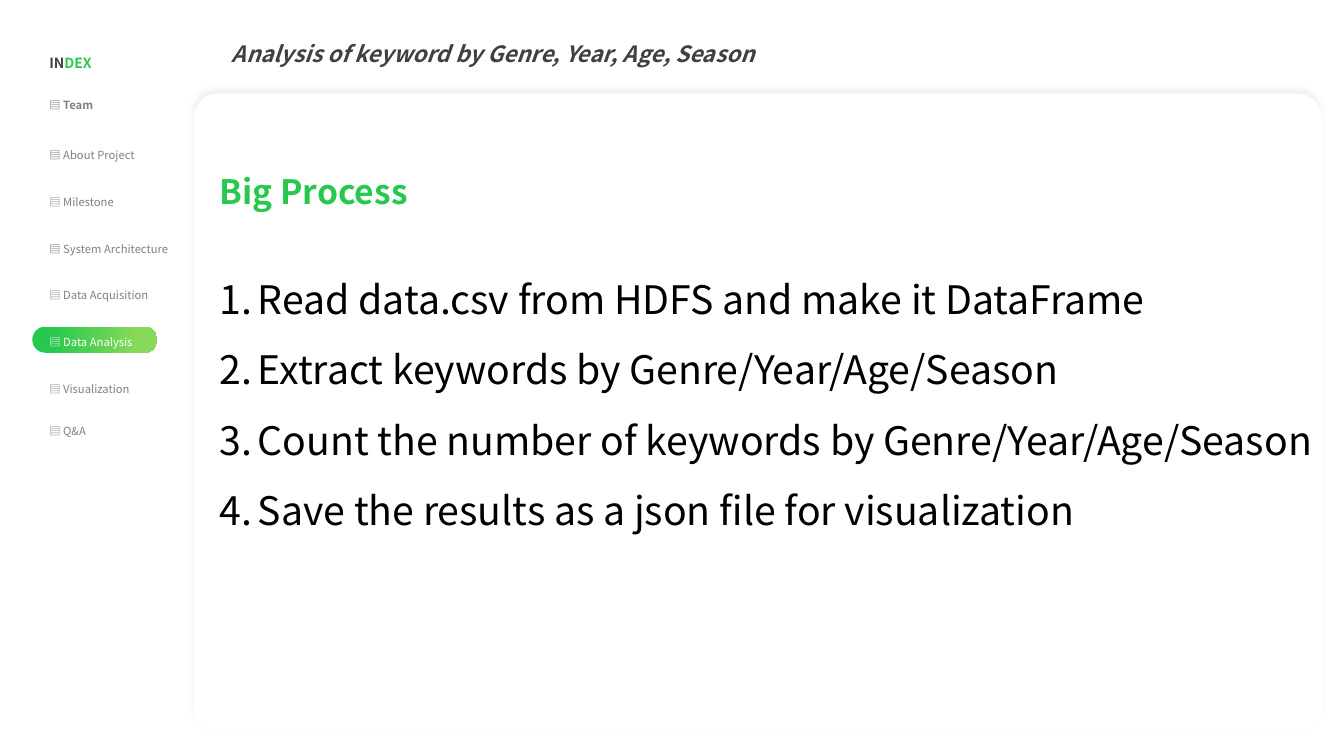
from dataclasses import dataclass
from typing import Optional

from lxml import etree
from pptx import Presentation
from pptx import util as u
from pptx.dml import color
from pptx.enum import shapes, text
from pptx.oxml import ns

FONT = "Noto Sans CJK KR"
GREEN, LIME, WHITE, BLACK = "28C84E", "88D959", "FFFFFF", "000000"
DARK, GRAY = "404040", "808080"
NO_STYLE_TABLE = "{2D5ABB26-0587-4C30-8999-92F81FD0307C}"


@dataclass
class Piece:
    words: str
    size: float
    color: str
    bold: bool = False
    italic: bool = False


@dataclass
class Shadow:
    color: str
    opacity: int
    blur: float
    distance: float
    angle: int


@dataclass
class Panel:
    left: float
    top: float
    width: float
    height: float
    corner: float
    colors: tuple[str, ...]
    shadow: Optional[Shadow] = None


@dataclass
class MenuItem:
    pieces: list[Piece]
    spacing: float = 1.5


def entry(label: str, hue: str = GRAY) -> Piece:
    return Piece(label, 8, hue)


MARK = Piece("▤ ", 8, GRAY, bold=True)
PANELS = [
    Panel(0.19, 0.2, 12.95, 7.1, 0.038, (WHITE,), Shadow(WHITE, 40, 0, 0, 0)),
    Panel(0.32, 3.24, 1.24, 0.26, 0.5, (GREEN, LIME)),
]
CONTENT = Panel(1.92, 0.93, 11.19, 6.34, 0.038, (WHITE,), Shadow(BLACK, 5, 4, 3, 270))
MENU = [
    MenuItem([Piece("IN", 10, DARK, bold=True), Piece("DEX", 10, GREEN, bold=True)]),
    MenuItem([Piece("▤ Team", 8, GRAY, bold=True)], 1),
    MenuItem([MARK, entry("About Project")]),
    MenuItem([entry("▤ Milestone")]),
    MenuItem([MARK, entry("System Architecture")]),
    MenuItem([entry("▤ Data Acquisition")]),
    MenuItem([entry("▤ Data Analysis", WHITE)]),
    MenuItem([entry("▤ Visualization")]),
    MenuItem([entry("▤ Q&A")], 1),
]
STEPS = [
    "Read data.csv from HDFS and make it DataFrame",
    "Extract keywords by Genre/Year/Age/Season",
    "Count the number of keywords by Genre/Year/Age/Season",
    "Save the results as a json file for visualization",
]


def rgb(value: str) -> color.RGBColor:
    return color.RGBColor.from_string(value)


def write(paragraph, pieces: list[Piece], spacing: float = 1) -> None:
    paragraph.line_spacing = float(spacing)
    for piece in pieces:
        run = paragraph.add_run()
        run.text = piece.words
        font = run.font
        font.name = FONT
        font.size = u.Pt(piece.size)
        font.bold = piece.bold
        font.italic = piece.italic
        font.color.rgb = rgb(piece.color)
        latin = run._r.rPr.find(ns.qn("a:latin"))
        east_asian = etree.Element(ns.qn("a:ea"), typeface=FONT)
        latin.addnext(east_asian)


def number(paragraph) -> None:
    properties = paragraph._p.get_or_add_pPr()
    properties.set("marL", str(u.Inches(0.38)))
    properties.set("indent", str(-u.Inches(0.38)))
    etree.SubElement(properties, ns.qn("a:buFont"), typeface="+mj-lt")
    etree.SubElement(properties, ns.qn("a:buAutoNum"), type="arabicPeriod")


def cast_shadow(shape, shadow: Shadow) -> None:
    effects = shape._element.spPr.find(ns.qn("a:effectLst"))
    outer = etree.SubElement(
        effects, ns.qn("a:outerShdw"),
        blurRad=str(u.Pt(shadow.blur)), dist=str(u.Pt(shadow.distance)),
        dir=str(shadow.angle * 60000), algn="ctr", rotWithShape="0",
    )
    tint = etree.SubElement(outer, ns.qn("a:srgbClr"), val=shadow.color)
    etree.SubElement(tint, ns.qn("a:alpha"), val=str(shadow.opacity * 1000))


def add_panel(slide, panel: Panel) -> None:
    shape = slide.shapes.add_shape(
        shapes.MSO_SHAPE.ROUNDED_RECTANGLE,
        u.Inches(panel.left), u.Inches(panel.top),
        u.Inches(panel.width), u.Inches(panel.height),
    )
    shape.adjustments[0] = panel.corner
    shape.shadow.inherit = False
    shape.line.fill.background()
    if len(panel.colors) > 1:
        shape.fill.gradient()
        shape.fill.gradient_angle = 0
        stops = zip(shape.fill.gradient_stops, panel.colors, (0.16, 0.84))
        for stop, hue, position in stops:
            stop.color.rgb = rgb(hue)
            stop.position = position
    else:
        shape.fill.solid()
        shape.fill.fore_color.rgb = rgb(panel.colors[0])
    if panel.shadow:
        cast_shadow(shape, panel.shadow)


def add_menu(slide, items: list[MenuItem]) -> None:
    frame = slide.shapes.add_table(
        len(items), 1, u.Inches(0.39), u.Inches(0.34), u.Inches(1.5), u.Inches(4.17)
    )
    table = frame.table
    table.first_row = False
    table.horz_banding = False
    table._tbl.tblPr.find(ns.qn("a:tableStyleId")).text = NO_STYLE_TABLE
    for row, item in enumerate(items):
        cell = table.cell(row, 0)
        cell.fill.background()
        cell.vertical_anchor = text.MSO_ANCHOR.MIDDLE
        write(cell.text_frame.paragraphs[0], item.pieces, item.spacing)


def add_text_frame(slide, left: float, top: float, width: float, height: float):
    box = slide.shapes.add_textbox(
        u.Inches(left), u.Inches(top), u.Inches(width), u.Inches(height)
    )
    box.text_frame.word_wrap = True
    box.text_frame.auto_size = text.MSO_AUTO_SIZE.SHAPE_TO_FIT_TEXT
    return box.text_frame


def main() -> None:
    presentation = Presentation()
    presentation.slide_width = u.Inches(13.33)
    presentation.slide_height = u.Inches(7.5)
    slide = presentation.slides.add_slide(presentation.slide_layouts[6])

    for panel in PANELS:
        add_panel(slide, panel)
    add_menu(slide, MENU)

    title = add_text_frame(slide, 2.2, 0.35, 8.31, 0.37)
    headline = "Analysis of keyword by Genre, Year, Age, Season"
    write(title.paragraphs[0], [Piece(headline, 16, DARK, bold=True, italic=True)])

    add_panel(slide, CONTENT)
    process = add_text_frame(slide, 2.08, 1.45, 11.25, 3.86)
    heading = process.paragraphs[0]
    write(heading, [Piece("Big Process", 24, GREEN, bold=True)], 1.5)
    heading.space_after = u.Pt(28.5)
    for step in STEPS:
        paragraph = process.add_paragraph()
        write(paragraph, [Piece(step, 28, BLACK)], 1.5)
        number(paragraph)

    presentation.save("out.pptx")


if __name__ == "__main__":
    main()
